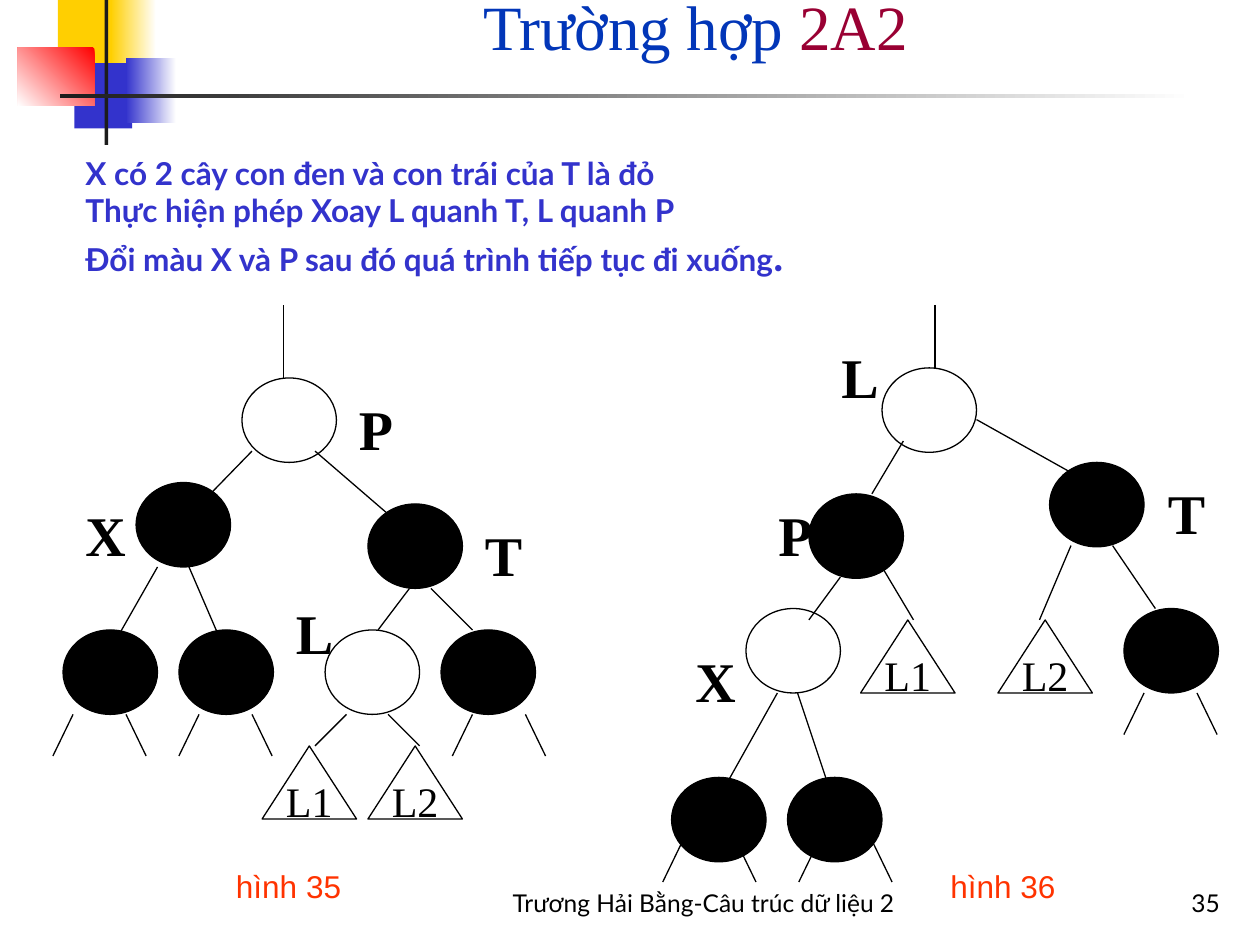
import pptx
import pptx.util
import pptx.dml.color
import pptx.enum.shapes
import pptx.enum.text
import lxml.etree

Inches = pptx.util.Inches
Pt = pptx.util.Pt
RGBColor = pptx.dml.color.RGBColor
SHAPE = pptx.enum.shapes.MSO_SHAPE
ALIGN = pptx.enum.text.PP_ALIGN
ANCHOR = pptx.enum.text.MSO_ANCHOR

BLACK = RGBColor(0x00, 0x00, 0x00)
WHITE = RGBColor(0xFF, 0xFF, 0xFF)
INK = RGBColor(0x1C, 0x1C, 0x1C)
YELLOW = RGBColor(0xFF, 0xCF, 0x01)
INDIGO = RGBColor(0x33, 0x33, 0xCC)
RED = RGBColor(0xFF, 0x00, 0x00)
TITLE_BLUE = RGBColor(0x02, 0x36, 0xB8)
MAROON = RGBColor(0x99, 0x00, 0x33)
ORANGE = RGBColor(0xFF, 0x33, 0x00)

SERIF, SANS, BODY = "Times New Roman", "Arial", "Lato"
NODE_SIZE = (0.75, 0.67)
SUBTREE_SIZE = (0.75, 0.58)
LABEL_SIZE = (0.5, 0.64)
STUB_GAP, STUB_SPREAD, STUB_DROP = 0.42, 0.16, 0.33

DECORATION = [
    ((0.46, 0, 0.48, 0.52), [YELLOW], None),
    ((0.88, 0, 0.36, 0.52), [WHITE, YELLOW], 180),
    ((0.59, 0.5, 0.46, 0.52), [INDIGO], None),
    ((1, 0.46, 0.4, 0.52), [WHITE, INDIGO], 180),
    ((0.14, 0.38, 0.61, 0.46), [RED, WHITE], 225),
    ((0.83, 0, 0.03, 1.15), [INK], None),
    ((0.48, 0.75, 9, 0.03), [WHITE, INK], 180),
]

TITLE = [[("Trường hợp", 36, TITLE_BLUE), (" 2A2", 36, MAROON)]]
RULES = [
    [("X có 2 cây con đen và con trái của T là đỏ", 18, INDIGO)],
    [("Thực hiện phép Xoay L quanh T, L quanh P", 18, INDIGO)],
    [("Đổi màu X và P sau đó quá trình tiếp tục đi xuống", 18, INDIGO),
     (".", 24, INDIGO)],
]

TREE_BEFORE = {
    "nodes": [(1.08, 3.83, BLACK), (1.92, 3, WHITE), (2.92, 4, BLACK),
              (0.5, 5, BLACK), (1.42, 5, BLACK), (2.58, 5, WHITE), (3.5, 5, BLACK)],
    "branches": [(2.25, 3, 2.25, 2.42), (2, 3.58, 1.67, 3.92),
                 (2.5, 3.58, 3.08, 4.08), (1.25, 4.5, 0.92, 5.08),
                 (1.5, 4.5, 1.75, 5.08), (3.25, 4.67, 3, 5),
                 (3.42, 4.67, 3.75, 5), (2.75, 5.67, 2.5, 5.92),
                 (3.08, 5.67, 3.33, 5.92)],
    "stubs": [(0.58, 5.67), (1.58, 5.67), (3.75, 5.67)],
    "subtrees": [("L1", 2.08, 5.92), ("L2", 2.92, 5.92)],
    "labels": [("P", 2.75, 3.08), ("T", 3.75, 4.08), ("X", 0.58, 3.92), ("L", 2.25, 4.7)],
}
TREE_AFTER = {
    "nodes": [(5.92, 4.83, None), (6.42, 3.92, BLACK), (8.33, 3.67, BLACK),
              (5.33, 6.17, BLACK), (6.25, 6.17, BLACK), (7, 2.92, WHITE),
              (8.92, 4.83, BLACK)],
    "branches": [(7.42, 2.42, 7.42, 2.92), (6.67, 4.58, 6.42, 4.92),
                 (6.17, 5.5, 5.75, 6.25), (6.33, 5.5, 6.58, 6.25),
                 (7.75, 3.33, 8.5, 3.75), (6.92, 3.92, 7.17, 3.5),
                 (8.83, 4.33, 9.17, 4.83), (7, 4.5, 7.25, 4.92),
                 (8.5, 4.33, 8.25, 4.92)],
    "stubs": [(9.08, 5.5), (5.42, 6.67), (6.5, 6.67)],
    "subtrees": [("L1", 6.83, 4.92), ("L2", 7.92, 4.92)],
    "labels": [("P", 6.08, 3.92), ("T", 9.17, 3.75), ("X", 5.42, 5.08), ("L", 6.58, 2.67)],
}

CAPTIONS = [("hình 36", 7.25), ("hình 35", 1.58)]
FOOTERS = [
    ("Trương Hải Bằng-Câu trúc dữ liệu 2", (3.5, 6.83, 4.17, 0.5), ALIGN.CENTER),
    ("35", (7.7, 6.83, 2.08, 0.5), ALIGN.RIGHT),
]


def write(shape, lines, font, bold=False, align=ALIGN.LEFT, anchor=ANCHOR.TOP, wrap=True):
    frame = shape.text_frame
    frame.word_wrap = wrap
    frame.vertical_anchor = anchor
    for index, line in enumerate(lines):
        para = frame.add_paragraph() if index else frame.paragraphs[0]
        para.alignment = align
        for text, size, color in line:
            span = para.add_run()
            span.text = text
            span.font.name = font
            span.font.size = Pt(size)
            span.font.bold = bold
            span.font.color.rgb = color


def add_text(shapes, area, lines, font, **style):
    box = shapes.add_textbox(*map(Inches, area))
    write(box, lines, font, **style)


def add_figure(shapes, preset, area, fill, outline=True):
    figure = shapes.add_shape(preset, *map(Inches, area))
    figure.shadow.inherit = False
    if fill is None:
        figure.fill.background()
    else:
        figure.fill.solid()
        figure.fill.fore_color.rgb = fill
    if outline:
        figure.line.color.rgb = BLACK
        figure.line.width = Pt(0.75)
    else:
        figure.line.fill.background()
    return figure


def add_line(shapes, ends):
    line = shapes.add_connector(pptx.enum.shapes.MSO_CONNECTOR.STRAIGHT, *map(Inches, ends))
    line.line.color.rgb = BLACK
    line.line.width = Pt(0.75)
    lxml.etree.SubElement(line._element.spPr, pptx.oxml.ns.qn("a:effectLst"))


def add_tree(page, tree):
    shapes = page.shapes.add_group_shape().shapes
    for left, top, fill in tree["nodes"]:
        add_figure(shapes, SHAPE.OVAL, (left, top, *NODE_SIZE), fill)
    for ends in tree["branches"]:
        add_line(shapes, ends)
    for left, top in tree["stubs"]:
        for start, spread in ((left, -STUB_SPREAD), (left + STUB_GAP, STUB_SPREAD)):
            add_line(shapes, (start, top, start + spread, top + STUB_DROP))
    for name, left, top in tree["subtrees"]:
        triangle = add_figure(shapes, SHAPE.ISOSCELES_TRIANGLE, (left, top, *SUBTREE_SIZE), WHITE)
        write(triangle, [[(name, 24, BLACK)]], SERIF,
              align=ALIGN.CENTER, anchor=ANCHOR.MIDDLE, wrap=False)
    for name, left, top in tree["labels"]:
        add_text(shapes, (left, top, *LABEL_SIZE), [[(name, 32, BLACK)]], SERIF, bold=True)


def main():
    deck = pptx.Presentation()
    deck.slide_width, deck.slide_height = Inches(10), Inches(7.5)
    page = deck.slides.add_slide(deck.slide_layouts[6])
    for area, colors, angle in DECORATION:
        block = add_figure(page.shapes, SHAPE.RECTANGLE, area, colors[0], outline=False)
        if angle is not None:
            block.fill.gradient()
            block.fill.gradient_angle = angle
            for stop, color, position in zip(block.fill.gradient_stops, colors, (0, 1)):
                stop.color.rgb = color
                stop.position = position
    add_text(page.shapes, (1.26, 0.23, 8.52, 0.32), TITLE, SERIF,
             align=ALIGN.CENTER, anchor=ANCHOR.BOTTOM)
    add_text(page.shapes, (0.58, 1.17, 8.25, 1.1), RULES, BODY, bold=True)
    for tree in (TREE_BEFORE, TREE_AFTER):
        add_tree(page, tree)
    for text, left in CAPTIONS:
        add_text(page.shapes, (left, 6.83, 1.42, 0.4), [[(text, 18, ORANGE)]], SANS,
                 align=ALIGN.CENTER)
    for text, area, align in FOOTERS:
        add_text(page.shapes, area, [[(text, 14, BLACK)]], BODY,
                 align=align, anchor=ANCHOR.BOTTOM)
    deck.save("out.pptx")


if __name__ == "__main__":
    main()
